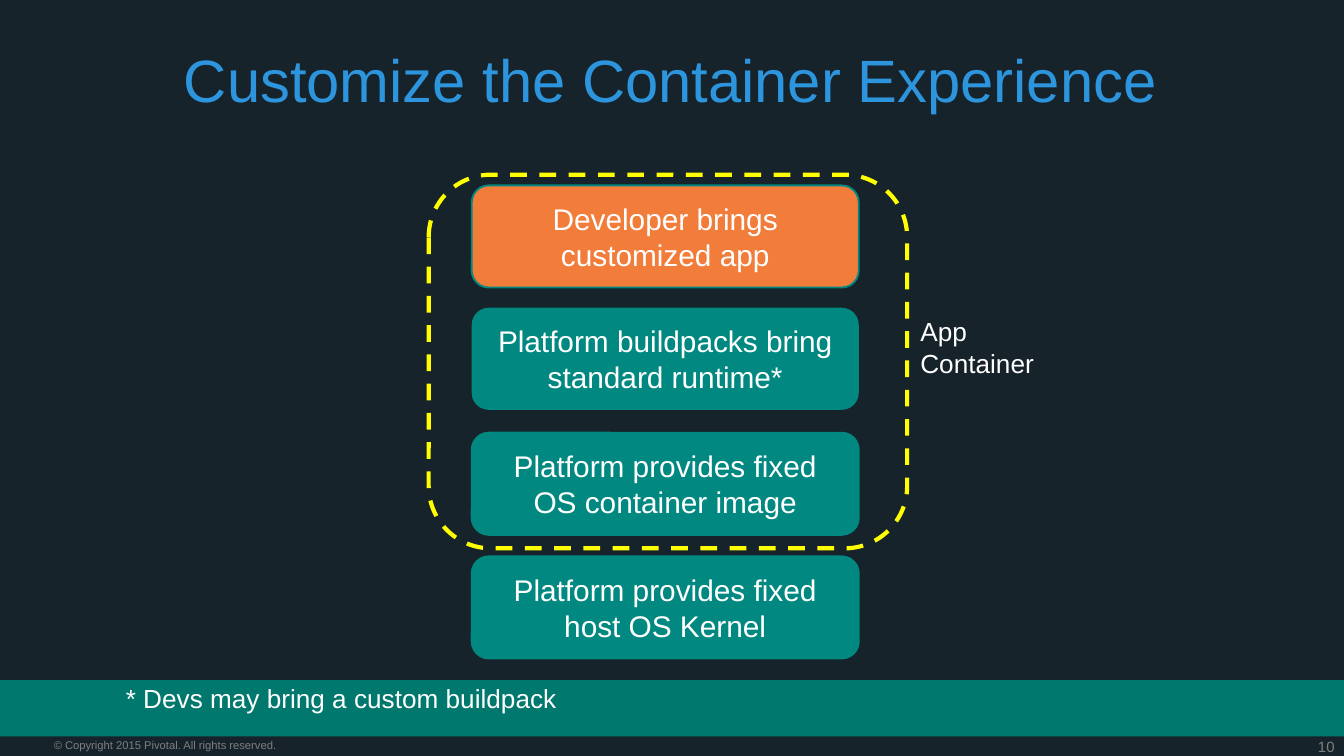
from pptx import Presentation
from pptx import util as u
from pptx.dml.color import RGBColor
from pptx.enum import dml, shapes, text

NIGHT = RGBColor(0x17, 0x23, 0x2A)
BAND = RGBColor(0x00, 0x78, 0x6E)
TEAL = RGBColor(0x00, 0x88, 0x81)
ORANGE = RGBColor(0xF2, 0x7C, 0x3A)
YELLOW = RGBColor(0xFF, 0xFF, 0x00)
BLUE = RGBColor(0x2C, 0x95, 0xDD)
GRAY = RGBColor(0x7F, 0x7F, 0x7F)
WHITE = RGBColor(0xFF, 0xFF, 0xFF)
LEFT, CENTER, RIGHT = text.PP_ALIGN.LEFT, text.PP_ALIGN.CENTER, text.PP_ALIGN.RIGHT


def write(box, lines, size, color, align):
    frame = box.text_frame
    frame.text = lines
    for para in frame.paragraphs:
        para.alignment = align
        para.font.name = "Arial"
        para.font.size = u.Pt(size)
        para.font.color.rgb = color


def add_block(kind, left, top, width, height, fill, line, weight=1):
    block = page.shapes.add_shape(
        kind, u.Inches(left), u.Inches(top), u.Inches(width), u.Inches(height))
    block.shadow.inherit = False
    for paint, color in ((block.fill, fill), (block.line.fill, line)):
        if color is None:
            paint.background()
        else:
            paint.solid()
            paint.fore_color.rgb = color
    if line is not None:
        block.line.width = u.Pt(weight)
    return block


deck = Presentation()
deck.slide_width = u.Inches(10)
deck.slide_height = deck.slide_width * 9 // 16
page = deck.slides.add_slide(deck.slide_layouts[6])
page.background.fill.solid()
page.background.fill.fore_color.rgb = NIGHT

rectangle = shapes.MSO_SHAPE.RECTANGLE
rounded = shapes.MSO_SHAPE.ROUNDED_RECTANGLE
add_block(rectangle, 0, 5.06, 10, 0.42, BAND, None)
container = add_block(rounded, 3.19, 1.3, 3.56, 2.78, None, YELLOW, 2.25)
container.line.dash_style = dml.MSO_LINE.DASH

layers = [
    ("Developer brings customized app", 1.38, ORANGE, TEAL),
    ("Platform buildpacks bring standard runtime*", 2.29, TEAL, None),
    ("Platform provides fixed OS container image", 3.22, TEAL, TEAL),
    ("Platform provides fixed host OS Kernel", 4.14, TEAL, TEAL),
]
for words, top, fill, line in layers:
    layer = add_block(rounded, 3.51, top, 2.88, 0.76, fill, line)
    layer.text_frame.word_wrap = True
    layer.text_frame.vertical_anchor = text.MSO_ANCHOR.MIDDLE
    write(layer, words, 16, WHITE, CENTER)

labels = [
    ("Customize the Container Experience", 1.27, 0.27, 7.58, 0.94, 32, BLUE, LEFT, True, True),
    ("App\nContainer", 6.75, 2.3, 1.06, 0.57, 14, WHITE, LEFT, True, False),
    ("* Devs may bring a custom buildpack", 0.34, 5.03, 4.4, 0.4, 14, WHITE, CENTER, True, True),
    ("© Copyright 2015 Pivotal. All rights reserved.", 0.4, 5.49, 2.49, 0.1, 6, GRAY, LEFT, False, True),
    ("10", 9.35, 5.49, 0.58, 0.14, 8, GRAY, RIGHT, False, True),
]
for words, left, top, width, height, size, color, align, padded, wrap in labels:
    label = page.shapes.add_textbox(
        u.Inches(left), u.Inches(top), u.Inches(width), u.Inches(height))
    frame = label.text_frame
    frame.word_wrap = wrap
    if not padded:
        frame.margin_left = frame.margin_right = 0
        frame.margin_top = frame.margin_bottom = 0
    write(label, words, size, color, align)

deck.save("out.pptx")
